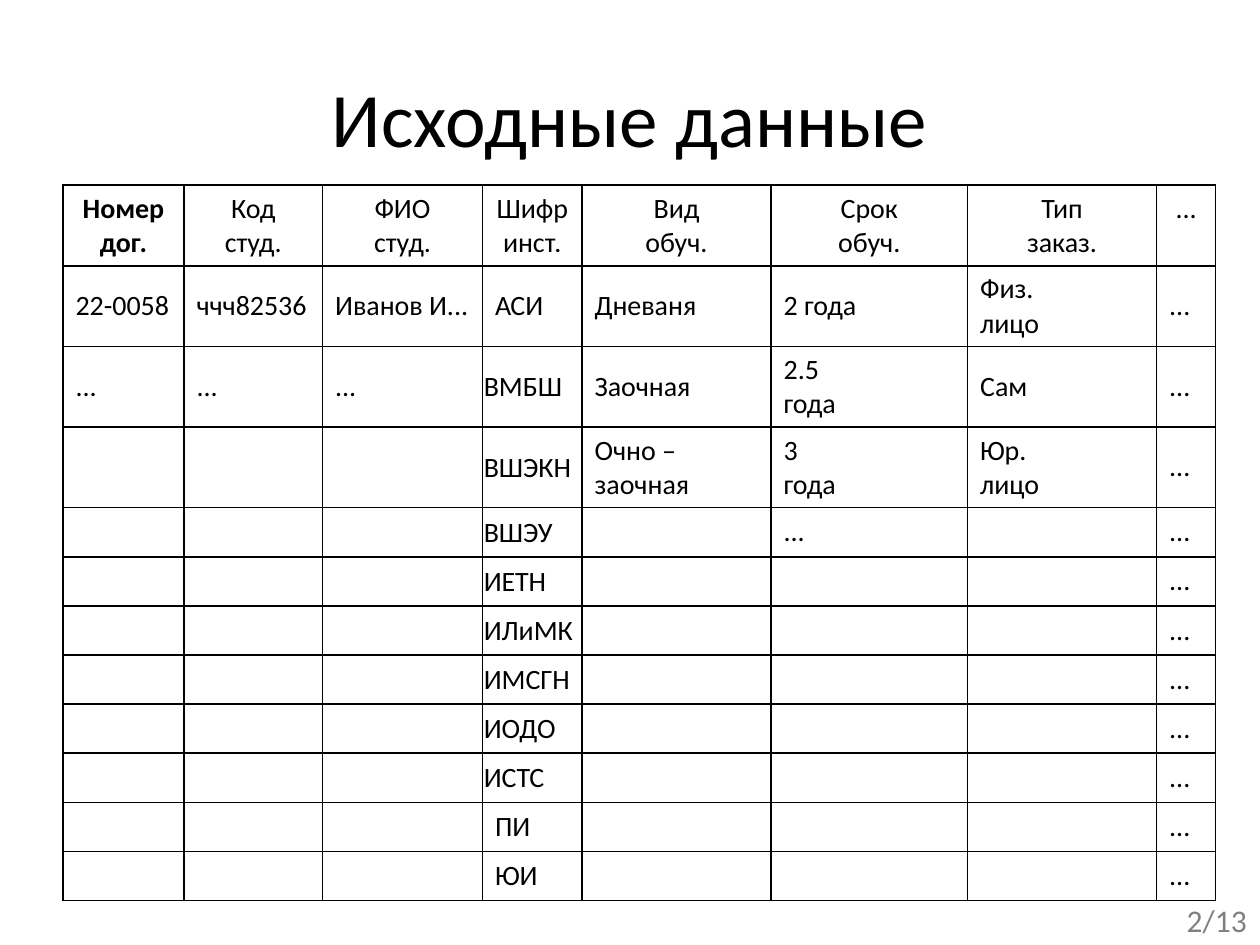
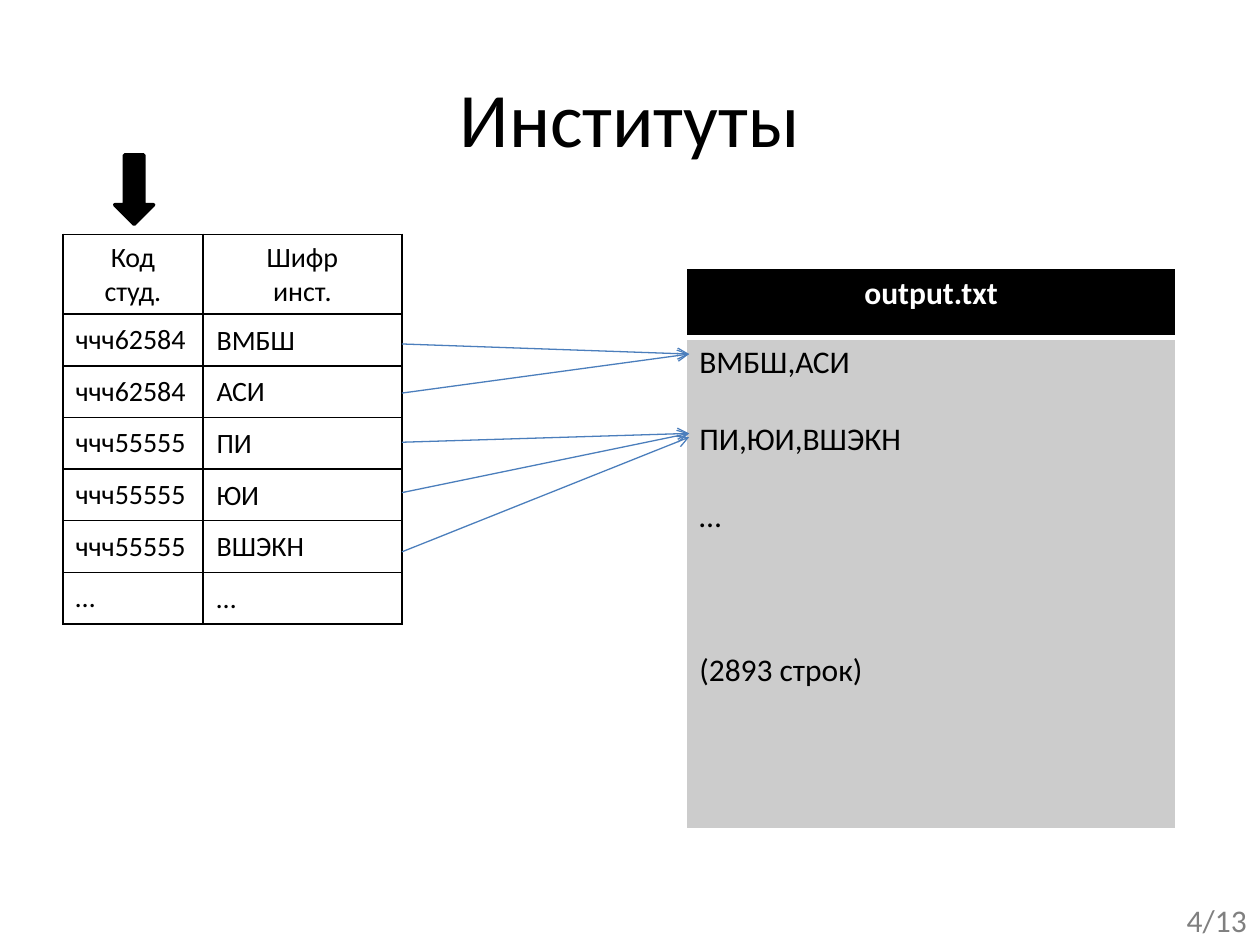
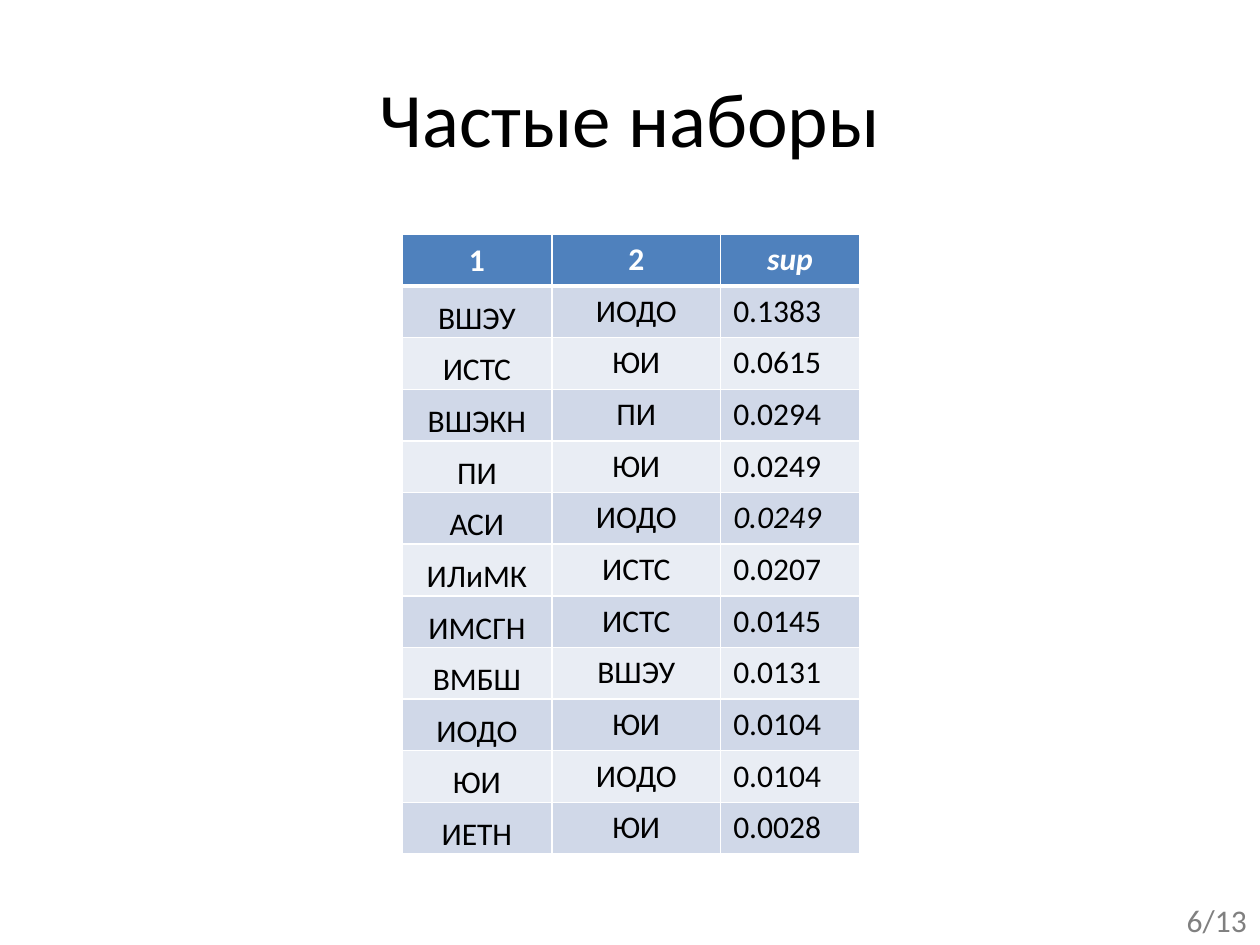
"""Builds three slides on student contract data and frequent institute sets."""
from collections.abc import Callable, Sequence
from dataclasses import dataclass, replace

from lxml import etree
from pptx import Presentation
from pptx.dml.color import RGBColor
from pptx.enum.shapes import MSO_CONNECTOR, MSO_SHAPE
from pptx.enum.text import MSO_ANCHOR, MSO_AUTO_SIZE, PP_ALIGN
from pptx.oxml.ns import qn
from pptx.util import Emu, Pt

LEFT, CENTER = PP_ALIGN.LEFT, PP_ALIGN.CENTER
TOP, MIDDLE, BOTTOM = MSO_ANCHOR.TOP, MSO_ANCHOR.MIDDLE, MSO_ANCHOR.BOTTOM
FIT_SHAPE = MSO_AUTO_SIZE.SHAPE_TO_FIT_TEXT
STRAIGHT = MSO_CONNECTOR.STRAIGHT
DOWN_ARROW = MSO_SHAPE.DOWN_ARROW
PX = 9144


@dataclass(frozen=True)
class Theme:
    font: str = "Calibri"
    ink: str = "000000"
    paper: str = "FFFFFF"
    muted: str = "808080"
    link: str = "4B7EBC"
    file_body: str = "CCCCCC"
    accent: str = "4F81BD"
    band_dark: str = "D0D8E8"
    band_light: str = "E9EDF4"
    title_size: int = 44
    text_size: int = 18
    small_size: int = 16


THEME = Theme()


@dataclass(frozen=True)
class CellStyle:
    size: int = THEME.small_size
    color: str = THEME.ink
    bold: bool = False
    italic: bool = False
    align: PP_ALIGN = LEFT
    anchor: MSO_ANCHOR = MIDDLE
    fill: str | None = None
    margins: tuple[int, int, int, int] = (10, 5, 10, 5)
    gaps: tuple[int, ...] = ()


@dataclass(frozen=True)
class Grid:
    x: int
    y: int
    widths: Sequence[int]
    heights: Sequence[int]
    rows: Sequence[Sequence[str]]
    style: Callable[[int, int], CellStyle]
    border: str = THEME.ink
    header_rule: int = 1


@dataclass(frozen=True)
class Link:
    start_y: int
    end_y: int


TIGHT = (1, 1, 1, 0)
HEADER = CellStyle(align=CENTER, anchor=TOP)
BODY = CellStyle()
FILE_BODY = CellStyle(THEME.text_size, anchor=TOP, fill=THEME.file_body, gaps=(0, 22, 22, 66))
FILE_HEADER = CellStyle(THEME.text_size, THEME.paper, True, align=CENTER, anchor=TOP, fill=THEME.ink)
SET_HEADER = CellStyle(THEME.text_size, THEME.paper, True, align=CENTER, fill=THEME.accent)

INSTITUTES = ["АСИ", "ВМБШ", "ВШЭКН", "ВШЭУ", "ИЕТН", "ИЛиМК",
              "ИМСГН", "ИОДО", "ИСТС", "ПИ", "ЮИ"]
CONTRACT_HEADER = ["Номер\nдог.", "Код\nстуд.", "ФИО\nстуд.", "Шифр\nинст.",
                   "Вид\nобуч.", "Срок\nобуч.", "Тип\nзаказ.", "..."]
STUDENTS = [["22-0058", "ччч82536", "Иванов И..."], ["..."] * 3]
TERMS = [["Дневаня", "2 года", "Физ.\nлицо"], ["Заочная", "2.5\nгода", "Сам"],
         ["Очно –\nзаочная", "3\nгода", "Юр.\nлицо"], ["", "...", ""]]
CODES = [("Код\nстуд.", "Шифр\nинст."), ("ччч62584", "ВМБШ"), ("ччч62584", "АСИ"),
         ("ччч55555", "ПИ"), ("ччч55555", "ЮИ"), ("ччч55555", "ВШЭКН"), ("…", "…")]
OUTPUT = [["output.txt"], ["ВМБШ,АСИ\nПИ,ЮИ,ВШЭКН\n…\n(2893 строк)"]]
LINKS = [Link(273, 281), Link(312, 281), Link(351, 344), Link(391, 344), Link(438, 347)]
SETS = [("1", "2", "sup"), ("ВШЭУ", "ИОДО", "0.1383"), ("ИСТС", "ЮИ", "0.0615"),
        ("ВШЭКН", "ПИ", "0.0294"), ("ПИ", "ЮИ", "0.0249"), ("АСИ", "ИОДО", "0.0249"),
        ("ИЛиМК", "ИСТС", "0.0207"), ("ИМСГН", "ИСТС", "0.0145"), ("ВМБШ", "ВШЭУ", "0.0131"),
        ("ИОДО", "ЮИ", "0.0104"), ("ЮИ", "ИОДО", "0.0104"), ("ИЕТН", "ЮИ", "0.0028")]


def px(n: int) -> Emu:
    """Turn px into EMU."""
    return Emu(n * PX)


def rgb(value: str) -> RGBColor:
    """Turn a hex string into a colour."""
    return RGBColor.from_string(value)


def write(tf, text: str, *, size: int, color: str = THEME.ink, bold: bool = False,
          italic: bool = False, align: PP_ALIGN = LEFT, gaps: Sequence[int] = ()) -> None:
    """Fill a text frame with one paragraph for each line of text."""
    for i, line in enumerate(text.split("\n")):
        p = tf.add_paragraph() if i else tf.paragraphs[0]
        p.alignment = align
        if gaps:
            p.space_before = Pt(gaps[i])
        if not line:
            etree.SubElement(p._p, qn("a:endParaRPr"), sz=str(size * 100))
            continue
        r = p.add_run()
        r.text = line
        r.font.name, r.font.size = THEME.font, Pt(size)
        r.font.bold, r.font.italic = bold, italic
        r.font.color.rgb = rgb(color)


def set_borders(cell, color: str, top: int, bottom: int) -> None:
    """Draw the four borders of a cell, ahead of its fill in the XML."""
    tc_pr = cell._tc.get_or_add_tcPr()
    for i, (side, width) in enumerate((("L", 1), ("R", 1), ("T", top), ("B", bottom))):
        ln = etree.Element(qn(f"a:ln{side}"), w=str(Pt(width)))
        solid = etree.SubElement(ln, qn("a:solidFill"))
        etree.SubElement(solid, qn("a:srgbClr"), val=color)
        tc_pr.insert(i, ln)


def draw_cell(cell, text: str, style: CellStyle) -> None:
    """Write and format one table cell."""
    (cell.margin_left, cell.margin_top,
     cell.margin_right, cell.margin_bottom) = map(px, style.margins)
    cell.vertical_anchor = style.anchor
    if style.fill:
        cell.fill.solid()
        cell.fill.fore_color.rgb = rgb(style.fill)
    else:
        cell.fill.background()
    write(cell.text_frame, text, size=style.size, color=style.color, bold=style.bold,
          italic=style.italic, align=style.align, gaps=style.gaps)


def draw_grid(s, grid: Grid) -> None:
    """Draw a table from its grid description."""
    table = s.shapes.add_table(len(grid.heights), len(grid.widths), px(grid.x), px(grid.y),
                               px(sum(grid.widths)), px(sum(grid.heights))).table
    table.first_row = table.horz_banding = False
    for column, width in zip(table.columns, grid.widths):
        column.width = px(width)
    for r, (height, row) in enumerate(zip(grid.heights, grid.rows)):
        table.rows[r].height = px(height)
        for c, text in enumerate(row):
            cell = table.cell(r, c)
            draw_cell(cell, text, grid.style(r, c))
            set_borders(cell, grid.border, grid.header_rule if r == 1 else 1,
                        grid.header_rule if r == 0 else 1)


def draw_link(s, link: Link) -> None:
    """Draw an arrow from the code table to the output file."""
    line = s.shapes.add_connector(STRAIGHT, px(319), px(link.start_y), px(547), px(link.end_y))
    line.line.color.rgb = rgb(THEME.link)
    line.line.width = Pt(0.75)
    etree.SubElement(line.line._get_or_add_ln(), qn("a:tailEnd"), type="arrow")
    etree.SubElement(line._element.spPr, qn("a:effectLst"))


def add_slide(prs, title: str, number: int):
    """Add a blank slide with its title and page number."""
    s = prs.slides.add_slide(prs.slide_layouts[6])
    tf = s.shapes.add_textbox(px(50), px(30), px(900), px(125)).text_frame
    tf.word_wrap = True
    tf.vertical_anchor = MIDDLE
    write(tf, title, size=THEME.title_size, align=CENTER)
    tf = s.shapes.add_textbox(px(932), px(710), px(68), px(40)).text_frame
    tf.word_wrap = False
    tf.auto_size = FIT_SHAPE
    write(tf, f"{number}/13", size=THEME.text_size, color=THEME.muted)
    return s


def contract_rows() -> list[list[str]]:
    """Join the student, institute and term columns into full rows."""
    rows = [CONTRACT_HEADER]
    for i, institute in enumerate(INSTITUTES):
        student = STUDENTS[i] if i < len(STUDENTS) else [""] * 3
        term = TERMS[i] if i < len(TERMS) else [""] * 3
        rows.append([*student, institute, *term, "..."])
    return rows


def contract_style(r: int, c: int) -> CellStyle:
    """Style the contract table."""
    if r == 0:
        return replace(HEADER, bold=c == 0)
    return replace(BODY, margins=TIGHT) if c == 3 and 2 <= r <= 9 else BODY


def code_style(r: int, c: int) -> CellStyle:
    """Style the table of student codes."""
    if r == 0:
        return HEADER
    return replace(BODY, margins=(11, 1, 1, 0)) if c == 1 else BODY


def output_style(r: int, c: int) -> CellStyle:
    """Style the output file box."""
    return FILE_BODY if r else FILE_HEADER


def set_style(r: int, c: int) -> CellStyle:
    """Style the table of frequent sets."""
    margins = TIGHT if c == 0 else BODY.margins
    if r == 0:
        return replace(SET_HEADER, italic=c == 2, margins=margins)
    return CellStyle(THEME.text_size, italic=(r, c) == (5, 2),
                     align=LEFT if c == 2 else CENTER, anchor=TOP if c else BOTTOM,
                     fill=THEME.band_dark if r % 2 else THEME.band_light, margins=margins)


def build_data(prs) -> None:
    """Build the slide with the source data."""
    s = add_slide(prs, "Исходные данные", 2)
    draw_grid(s, Grid(50, 147, [96, 110, 127, 79, 150, 156, 150, 47],
                      [64] * 4 + [39] * 8, contract_rows(), contract_style))


def build_institutes(prs) -> None:
    """Build the slide that maps student codes to the output file."""
    s = add_slide(prs, "Институты", 4)
    draw_grid(s, Grid(50, 186, [111, 158], [61] + [41] * 6, CODES, code_style))
    draw_grid(s, Grid(545, 213, [388], [55, 390], OUTPUT, output_style, THEME.paper, 3))
    for link in LINKS:
        draw_link(s, link)
    sp = s.shapes.add_shape(DOWN_ARROW, px(91), px(123), px(31), px(55))
    sp.shadow.inherit = False
    sp.fill.solid()
    sp.fill.fore_color.rgb = sp.line.color.rgb = rgb(THEME.ink)
    sp.line.width = Pt(2)


def build_sets(prs) -> None:
    """Build the slide with the frequent sets."""
    s = add_slide(prs, "Частые наборы", 6)
    draw_grid(s, Grid(319, 186, [119, 134, 110], [41] * len(SETS), SETS, set_style,
                      THEME.paper, 3))


def main() -> None:
    """Build and save the presentation."""
    prs = Presentation()
    prs.slide_width, prs.slide_height = px(1000), px(750)
    for build in (build_data, build_institutes, build_sets):
        build(prs)
    prs.save("out.pptx")


if __name__ == "__main__":
    main()
